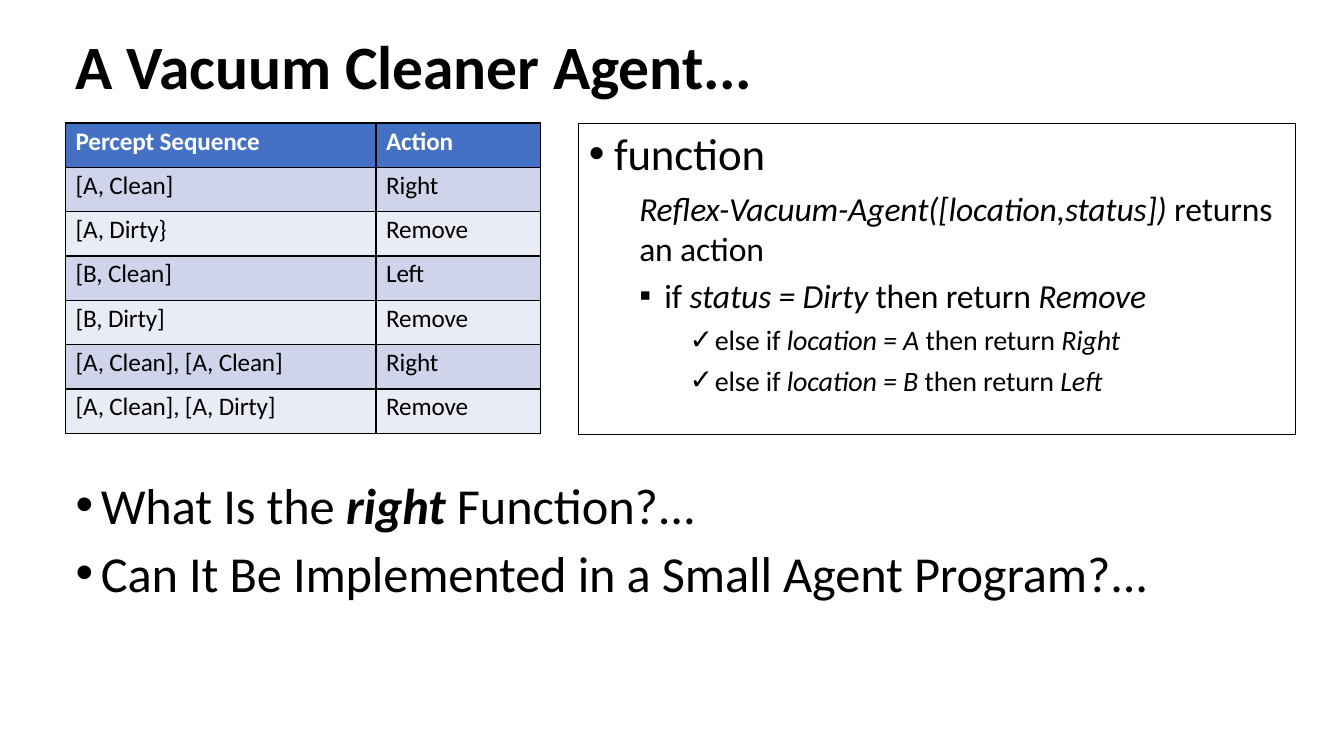
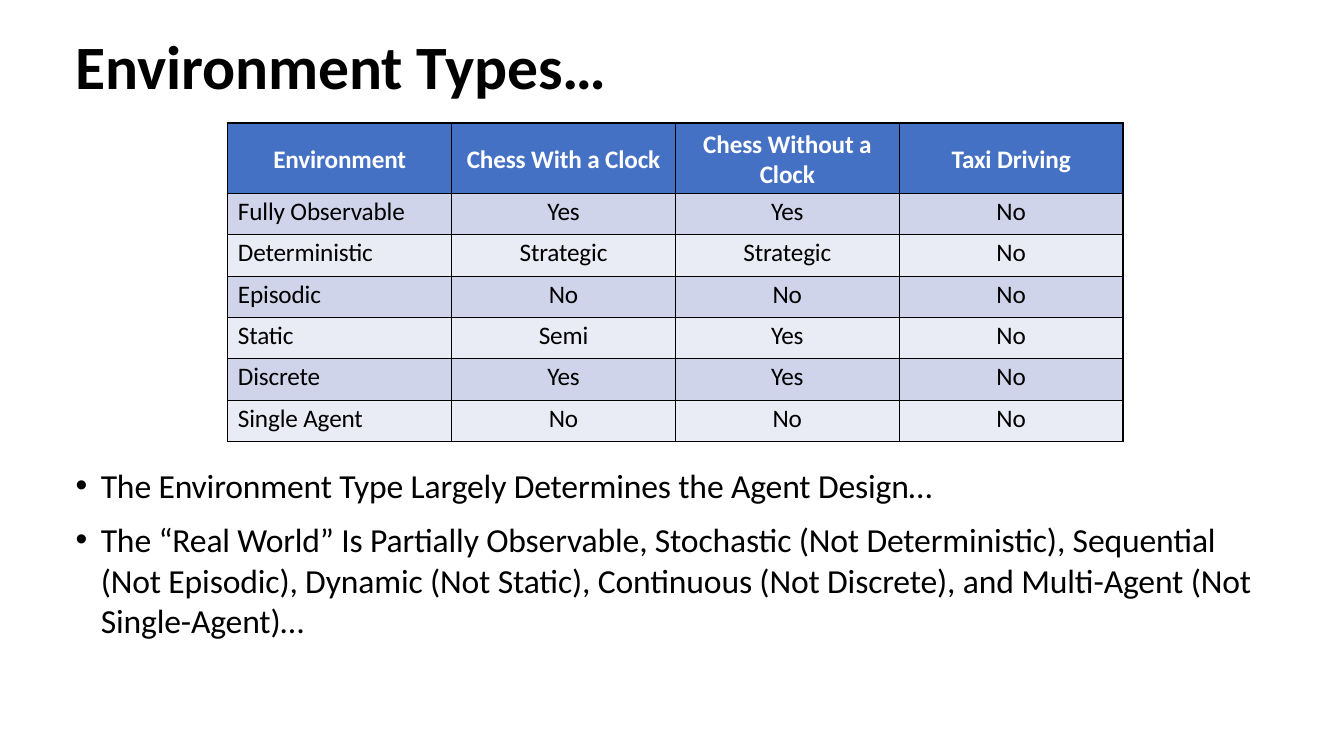
from dataclasses import dataclass

from lxml import etree
from pptx import Presentation
from pptx.dml.color import RGBColor
from pptx.enum import shapes, text as txt
from pptx.oxml import ns
from pptx.util import Inches, Pt


@dataclass(frozen=True)
class Theme:
    font: str = "Calibri"
    ink: str = "000000"
    white: str = "FFFFFF"
    head: str = "4471C4"
    bands: tuple = ("CFD4EA", "E9EBF5")
    title: int = 44
    large: int = 36
    lead: int = 32
    body: int = 24
    small: int = 20
    cell: int = 18
    track: str = "-10"


T = Theme()
LEFT, TOP = 0.74, 1.22


def write(frame, text, new=True, size=T.body, color=T.ink, bold=False, strong=False,
          bullet=None, left=0, hang=0, before=0, align=txt.PP_ALIGN.LEFT, inset=0):
    """Put one paragraph in a frame; *stars* mark italics, bold too if strong."""
    if new:
        frame.word_wrap = True
        frame.margin_left = frame.margin_right = frame.margin_bottom = 0
        frame.margin_top = Inches(inset)
    par = frame.paragraphs[0] if new else frame.add_paragraph()
    par.alignment, par.space_before = align, Pt(before)
    props = par._p.get_or_add_pPr()
    props.set("marL", str(Inches(left)))
    props.set("indent", str(-Inches(hang)))
    if bullet:
        etree.SubElement(props, ns.qn("a:buFont")).set("typeface", "Arial")
        etree.SubElement(props, ns.qn("a:buChar")).set("char", bullet)
    for i, part in enumerate(text.split("*")):
        if not part:
            continue
        run = par.add_run()
        run.text = part
        font = run.font
        font.name, font.size = T.font, Pt(size)
        font.color.rgb = RGBColor.from_string(color)
        font.italic = i % 2 == 1
        font.bold = bold or (strong and font.italic)
        run._r.get_or_add_rPr().set("spc", T.track)


def grid(slide, left, rows, widths, heights, center=False):
    """Add a banded table with thin black borders."""
    table = slide.shapes.add_table(
        len(rows), len(widths), Inches(left), Inches(TOP),
        Inches(sum(widths)), Inches(sum(heights))).table
    for col, width in zip(table.columns, widths):
        col.width = Inches(width)
    for r, (row, height) in enumerate(zip(rows, heights)):
        table.rows[r].height = Inches(height)
        for c, text in enumerate(row):
            cell = table.cell(r, c)
            props = cell._tc.get_or_add_tcPr()
            for side in "LRTB":
                line = etree.SubElement(props, ns.qn("a:ln" + side), w=str(Pt(1)))
                fill = etree.SubElement(line, ns.qn("a:solidFill"))
                etree.SubElement(fill, ns.qn("a:srgbClr"), val=T.ink)
            cell.fill.solid()
            cell.fill.fore_color.rgb = RGBColor.from_string(
                T.bands[(r - 1) % 2] if r else T.head)
            mid = center and (r == 0 or c > 0)
            write(cell.text_frame, text, size=T.cell, bold=r == 0,
                  color=T.ink if r else T.white, left=0 if mid else 0.1,
                  before=0 if center and r == 0 else 2.4,
                  align=txt.PP_ALIGN.CENTER if mid else txt.PP_ALIGN.LEFT)
            cell.margin_left = cell.margin_right = cell.margin_bottom = 0
            cell.margin_top = Inches(0.03)
            if center and r == 0:
                cell.vertical_anchor = txt.MSO_ANCHOR.MIDDLE


deck = Presentation()
deck.slide_width, deck.slide_height = Inches(13.33), Inches(7.5)

# Each page: title, then bullets with their place and format
pages = [
    ("A Vacuum Cleaner Agent...", (4.61, 10.9, 1.39),
     dict(size=T.large, inset=0.09, strong=True), (6.7, 5.7),
     ["What Is the *right* Function?...",
      "Can It Be Implemented in a Small Agent Program?..."]),
    ("Environment Types…", (4.46, 11.8, 1.91),
     dict(size=T.body, inset=0.15), (11.1, 10.1),
     ["The Environment Type Largely Determines the Agent Design…",
      "The “Real World” Is Partially Observable, Stochastic (Not Deterministic), "
      "Sequential (Not Episodic), Dynamic (Not Static), Continuous (Not Discrete), "
      "and Multi-Agent (Not Single-Agent)…"]),
]
slides = []
for title, (top, width, height), style, gaps, points in pages:
    slide = deck.slides.add_slide(deck.slide_layouts[6])
    slides.append(slide)
    box = slide.shapes.add_textbox(Inches(LEFT), Inches(0.27), Inches(11.8), Inches(0.76))
    write(box.text_frame, title, size=T.title, bold=True, left=0.01, before=1, inset=0.01)
    box = slide.shapes.add_textbox(Inches(LEFT), Inches(top), Inches(width), Inches(height))
    for i, (point, gap) in enumerate(zip(points, gaps)):
        write(box.text_frame, point, new=i == 0, bullet="•", left=0.26, hang=0.25,
              before=gap, **style)

agent, world = slides

# Percept table and agent function
grid(agent, 0.65, [
    ("Percept Sequence", "Action"),
    ("[A, Clean]", "Right"),
    ("[A, Dirty}", "Remove"),
    ("[B, Clean]", "Left"),
    ("[B, Dirty]", "Remove"),
    ("[A, Clean], [A, Clean]", "Right"),
    ("[A, Clean], [A, Dirty]", "Remove"),
], [3.08, 1.63], [0.44] * 7)

frame = agent.shapes.add_shape(shapes.MSO_SHAPE.RECTANGLE, Inches(5.74), Inches(TOP + 0.01),
                               Inches(7.11), Inches(3.08))
frame.shadow.inherit = False
frame.fill.background()
frame.line.color.rgb = RGBColor.from_string(T.ink)
frame.line.width = Pt(0.75)
frame.text_frame.vertical_anchor = txt.MSO_ANCHOR.TOP
code = [
    ("function", T.lead, "•", 0.35, 1.6),
    ("*Reflex-Vacuum-Agent([location,status])* returns an action", T.body, None, 0.6, 5.5),
    ("if *status = Dirty* then return *Remove*", T.body, "▪", 0.85, 5),
    ("else if *location = A* then return *Right*", T.small, "✓", 1.35, 5.2),
    ("else if *location = B* then return *Left*", T.small, "✓", 1.35, 5),
]
for i, (line, size, mark, left, gap) in enumerate(code):
    write(frame.text_frame, line, new=i == 0, size=size, bullet=mark, left=left,
          hang=0.25 if mark else 0, before=gap, inset=0.02)

# Environment table
grid(world, 2.26, [
    ("Environment", "Chess With a Clock", "Chess Without a Clock", "Taxi Driving"),
    ("Fully Observable", "Yes", "Yes", "No"),
    ("Deterministic", "Strategic", "Strategic", "No"),
    ("Episodic", "No", "No", "No"),
    ("Static", "Semi", "Yes", "No"),
    ("Discrete", "Yes", "Yes", "No"),
    ("Single Agent", "No", "No", "No"),
], [2.22] * 4, [0.7] + [0.41] * 6, center=True)

deck.save("out.pptx")
